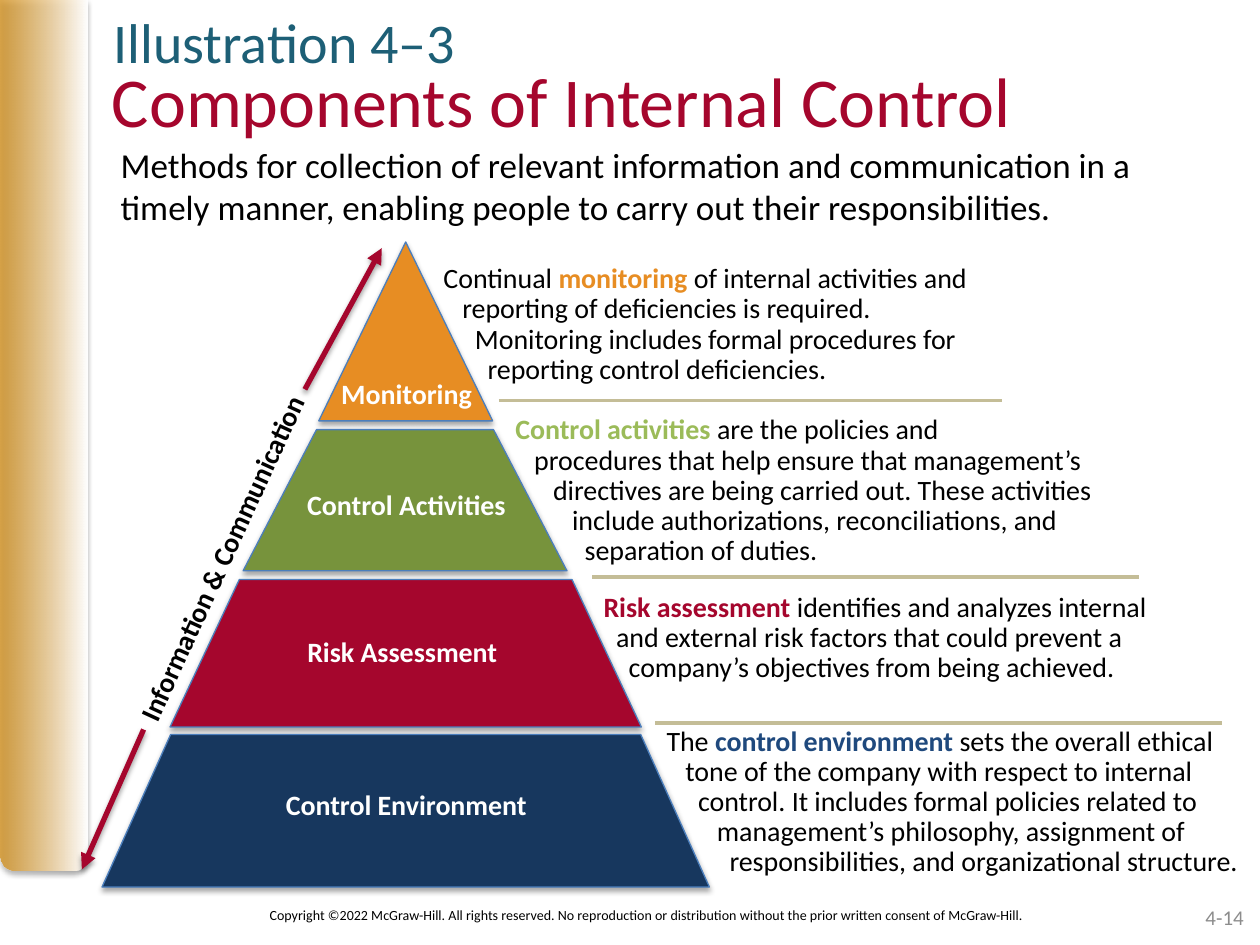
from lxml import etree
from pptx import Presentation
from pptx.dml.color import RGBColor
from pptx.enum.shapes import MSO_CONNECTOR, MSO_SHAPE
from pptx.enum.text import MSO_ANCHOR, PP_ALIGN
from pptx.oxml.ns import qn
from pptx.util import Inches, Pt

STRAIGHT = MSO_CONNECTOR.STRAIGHT
TRIANGLE = MSO_SHAPE.ISOSCELES_TRIANGLE
TRAPEZOID = MSO_SHAPE.TRAPEZOID
ROUND_BAND = MSO_SHAPE.ROUND_2_SAME_RECTANGLE
TOP, MIDDLE = MSO_ANCHOR.TOP, MSO_ANCHOR.MIDDLE
LEFT, CENTER, RIGHT = PP_ALIGN.LEFT, PP_ALIGN.CENTER, PP_ALIGN.RIGHT

BLACK = RGBColor(0x00, 0x00, 0x00)
WHITE = RGBColor(0xFF, 0xFF, 0xFF)
GRAY = RGBColor(0x8C, 0x8C, 0x8C)
GOLD = RGBColor(0xD4, 0x93, 0x23)
CRIMSON = RGBColor(0xA5, 0x06, 0x2D)
TEAL = RGBColor(0x1D, 0x5F, 0x76)
ORANGE = RGBColor(0xE7, 0x8D, 0x23)
GREEN = RGBColor(0x77, 0x93, 0x3C)
LIGHT_GREEN = RGBColor(0x9B, 0xBB, 0x59)
NAVY = RGBColor(0x17, 0x37, 0x5E)
BLUE = RGBColor(0x1F, 0x49, 0x7D)
OUTLINE = RGBColor(0x4B, 0x7E, 0xBC)
TAN = RGBColor(0xC4, 0xBD, 0x97)

INDENT_STEP = 0.05

TIERS = [
    (TRIANGLE, (2.53, 1.92, 1.38, 1.42), 0.5, ORANGE,
     "Monitoring", (2.61, 2.94, 1.75, 0.37)),
    (TRAPEZOID, (1.93, 3.41, 2.57, 1.12), 0.52, GREEN,
     "Control Activities", (2.34, 3.82, 2.17, 0.37)),
    (TRAPEZOID, (1.35, 4.6, 3.74, 1.17), 0.47, CRIMSON,
     "Risk Assessment", (2.34, 4.99, 1.75, 0.37)),
    (TRAPEZOID, (0.81, 5.83, 4.82, 1.21), 0.45, NAVY,
     "Control Environment", (2.17, 6.2, 2.28, 0.37)),
]

DESCRIPTIONS = [
    ((3.52, 2.05, 4.43, 1.07), "monitoring", ORANGE, [
        (0, "Continual monitoring of internal activities and"),
        (3, "reporting of deficiencies is required."),
        (5, "Monitoring includes formal procedures for"),
        (7, "reporting control deficiencies.")]),
    ((4.09, 3.25, 5.2, 1.32), "Control activities", LIGHT_GREEN, [
        (0, "Control activities are the policies and"),
        (3, "procedures that help ensure that management’s"),
        (6, "directives are being carried out. These activities"),
        (9, "include authorizations, reconciliations, and"),
        (11, "separation of duties.")]),
    ((4.79, 4.66, 5.2, 0.83), "Risk assessment", CRIMSON, [
        (0, "Risk assessment identifies and analyzes internal"),
        (2, "and external risk factors that could prevent a"),
        (4, "company’s objectives from being achieved.")]),
    ((5.29, 5.72, 5.2, 1.32), "control environment", BLUE, [
        (0, "The control environment sets the overall ethical"),
        (3, "tone of the company with respect to internal"),
        (5, "control. It includes formal policies related to"),
        (8, "management’s philosophy, assignment of"),
        (10, "responsibilities, and organizational structure.")]),
]

DIVIDERS = [(3.96, 7.95, 3.18), (4.7, 9.04, 4.58), (5.2, 9.7, 5.74)]
ARROWS = [((2.42, 3.09), (3.03, 1.97)), ((1.14, 5.79), (0.65, 6.9))]


class SlideBuilder:
    font = "Calibri"

    def __init__(self, s):
        self.s = s

    def format_run(self, r, size, color, bold=False):
        r.font.name = self.font
        r.font.size = Pt(size)
        r.font.bold = bold
        r.font.color.rgb = color

    def add_shadow(self, effects, opacity=35):
        shadow = etree.SubElement(effects, qn("a:outerShdw"), blurRad="40000",
                                  dist="23000", dir="5400000", rotWithShape="0")
        color = etree.SubElement(shadow, qn("a:srgbClr"), val="000000")
        etree.SubElement(color, qn("a:alpha"), val=str(opacity * 1000))

    def shape(self, kind, box, adjustments):
        sp = self.s.shapes.add_shape(kind, *map(Inches, box))
        for i, value in enumerate(adjustments):
            sp.adjustments[i] = value
        sp.shadow.inherit = False
        self.add_shadow(sp.element.spPr.find(qn("a:effectLst")))
        return sp

    def side_band(self, box):
        sp = self.shape(ROUND_BAND, box, (0, 0.17))
        sp.line.fill.background()
        sp.fill.gradient()
        sp.fill.gradient_angle = 0
        for stop, color, position in zip(sp.fill.gradient_stops, (GOLD, WHITE), (0, 1)):
            stop.color.rgb = color
            stop.position = position
        gold = sp.element.spPr.find(".//" + qn("a:gs")).find(qn("a:srgbClr"))
        etree.SubElement(gold, qn("a:alpha"), val="80000")

    def tier(self, kind, box, adjustment, color):
        sp = self.shape(kind, box, (adjustment,))
        sp.fill.solid()
        sp.fill.fore_color.rgb = color
        sp.line.color.rgb = OUTLINE
        sp.line.width = Pt(0.75)

    def text_frame(self, box, anchor=TOP, rotation=0):
        sp = self.s.shapes.add_textbox(*map(Inches, box))
        sp.rotation = rotation
        tf = sp.text_frame
        tf.word_wrap = True
        tf.vertical_anchor = anchor
        return tf

    def text(self, box, text, size, color=BLACK, bold=False, align=LEFT,
             anchor=TOP, rotation=0, inset=None):
        tf = self.text_frame(box, anchor, rotation)
        if inset is not None:
            tf.margin_left = tf.margin_right = Inches(inset)
            tf.margin_top = tf.margin_bottom = Inches(inset)
        tf.text = text
        p = tf.paragraphs[0]
        p.alignment = align
        self.format_run(p.runs[0], size, color, bold)

    def description(self, box, term, color, lines):
        tf = self.text_frame(box)
        tf.margin_left = 0
        for i, (steps, line) in enumerate(lines):
            p = tf.add_paragraph() if i else tf.paragraphs[0]
            p.line_spacing = 0.9
            p._p.get_or_add_pPr().set("marL", str(Inches(steps * INDENT_STEP)))
            before, match, after = line.partition(term)
            for part in filter(None, (before, match, after)):
                r = p.add_run()
                r.text = part
                marked = part == term
                self.format_run(r, 16, color if marked else BLACK, marked)

    def line(self, start, end, color, width, arrow=False):
        c = self.s.shapes.add_connector(STRAIGHT, *map(Inches, start + end))
        c.line.color.rgb = color
        c.line.width = Pt(width)
        spPr = c.element.spPr
        effects = etree.SubElement(spPr, qn("a:effectLst"))
        if arrow:
            etree.SubElement(spPr.find(qn("a:ln")), qn("a:tailEnd"), type="triangle")
            self.add_shadow(effects, 38)


def main():
    prs = Presentation()
    prs.slide_width, prs.slide_height = Inches(10), Inches(7.5)
    b = SlideBuilder(prs.slides.add_slide(prs.slide_layouts[6]))

    b.side_band((0, 0, 0.69, 6.91))
    b.text((0.79, 0.41, 9, 1.25), "Components of Internal Control", 40, CRIMSON)
    b.text((0.9, 0.06, 6.74, 0.44), "Illustration 4–3", 32, TEAL, inset=0)
    b.text((1.56, 7.06, 7.15, 0.4),
           "Copyright ©2022 McGraw-Hill. All rights reserved. No reproduction or "
           "distribution without the prior written consent of McGraw-Hill.",
           8, align=CENTER, anchor=MIDDLE)
    b.text((7.64, 7.08, 2.33, 0.4), "4-14", 12, GRAY, align=RIGHT, anchor=MIDDLE)

    for kind, box, adjustment, color, _, _ in TIERS:
        b.tier(kind, box, adjustment, color)
    for *_, label, label_box in TIERS:
        b.text(label_box, label, 16, WHITE, bold=True)

    b.text((0.24, 4.22, 3.06, 0.37), "Information & Communication", 16,
           bold=True, rotation=294.7)
    for start, end in ARROWS:
        b.line(start, end, CRIMSON, 3, arrow=True)
    for description in DESCRIPTIONS:
        b.description(*description)
    for left, right, y in DIVIDERS:
        b.line((left, y), (right, y), TAN, 2)
    b.text((0.86, 1.09, 8.31, 0.77),
           "Methods for collection of relevant information and communication in a "
           "timely manner, enabling people to carry out their responsibilities.", 20)

    prs.save("out.pptx")


if __name__ == "__main__":
    main()
